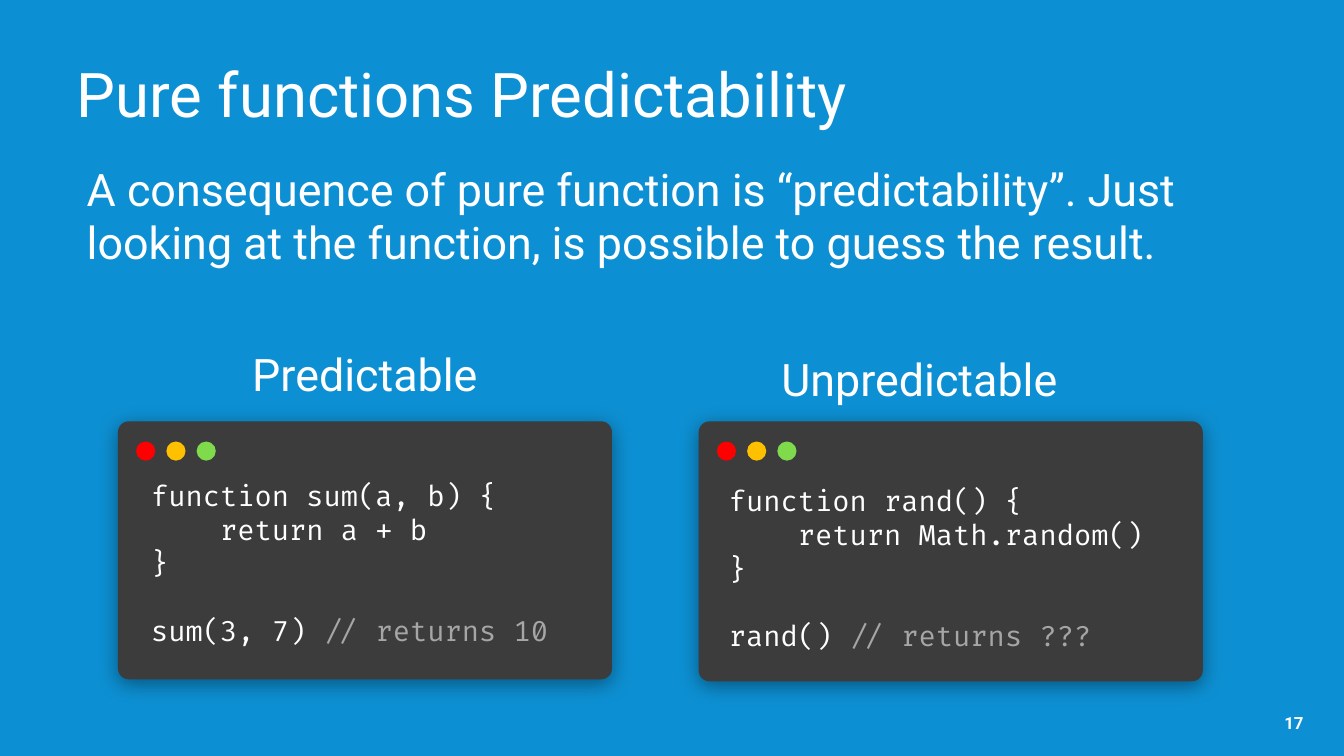
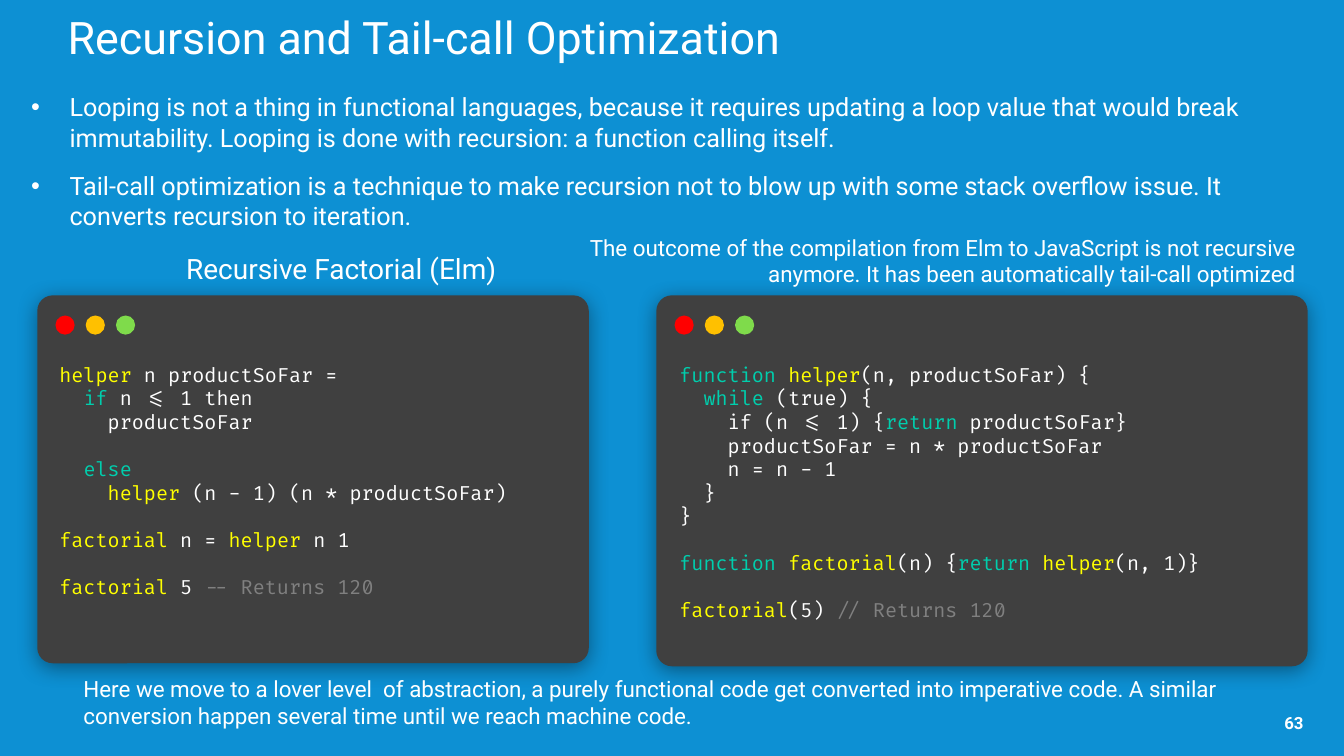
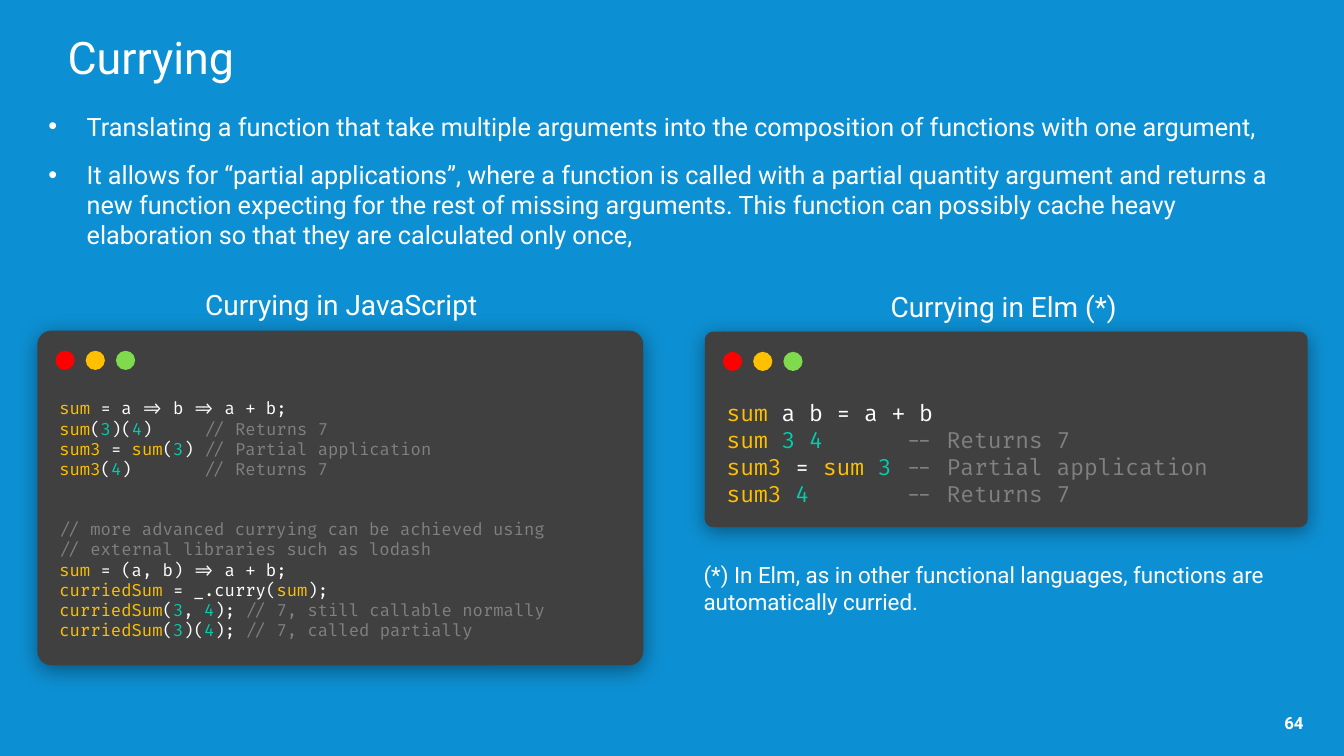
"""Builds three slides on functional programming with code windows."""
import itertools

import pptx
import pptx.dml.color
import pptx.enum.shapes
import pptx.enum.text
import pptx.oxml
import pptx.oxml.ns
import pptx.util

RGB = pptx.dml.color.RGBColor
BLUE = RGB(0x0D, 0x90, 0xD3)
WHITE = RGB(0xFF, 0xFF, 0xFF)
CHARCOAL = RGB(0x3C, 0x3C, 0x3C)
DARK = RGB(0x40, 0x40, 0x40)
SILVER = RGB(0xA6, 0xA6, 0xA6)
GREY = RGB(0x80, 0x80, 0x80)
RED = RGB(0xFF, 0x00, 0x00)
AMBER = RGB(0xFF, 0xC0, 0x00)
GREEN = RGB(0x7F, 0xDB, 0x4B)
YELLOW = RGB(0xFF, 0xFF, 0x00)
TEAL = RGB(0x00, 0xCE, 0xAD)

SCALE = 9144
CODE_LEADING = 1.2
NAMESPACE = pptx.oxml.ns.nsdecls("a")
SHADOW = (
    f'<a:outerShdw {NAMESPACE} blurRad="190500" dist="38100" dir="5400000" algn="t" rotWithShape="0">'
    '<a:srgbClr val="000000"><a:alpha val="40000"/></a:srgbClr></a:outerShdw>'
)
LEFT, CENTER, RIGHT = (
    pptx.enum.text.PP_ALIGN.LEFT,
    pptx.enum.text.PP_ALIGN.CENTER,
    pptx.enum.text.PP_ALIGN.RIGHT,
)
TOP, MIDDLE = pptx.enum.text.MSO_ANCHOR.TOP, pptx.enum.text.MSO_ANCHOR.MIDDLE
SHAPE = pptx.enum.shapes.MSO_SHAPE

FACTORIAL_COLOURS = {"helper": YELLOW, "factorial": YELLOW}
ELM_COLOURS = FACTORIAL_COLOURS | {"if": TEAL, "else": TEAL}
JS_COLOURS = FACTORIAL_COLOURS | {"function": TEAL, "while": TEAL, "return": TEAL}
CURRY_COLOURS = {"sum": AMBER, "sum3": AMBER, "curriedSum": AMBER, "3": TEAL, "4": TEAL}

SUM_CODE = """function sum(a, b) {
    return a + b
}

sum(3, 7) // returns 10"""

RAND_CODE = """function rand() {
    return Math.random()
}

rand() // returns ???"""

FACTORIAL_ELM = """helper n productSoFar =
  if n <= 1 then
    productSoFar

  else
    helper (n - 1) (n * productSoFar)

factorial n = helper n 1

factorial 5 -- Returns 120"""

FACTORIAL_JS = """function helper(n, productSoFar) {
  while (true) {
    if (n <= 1) {return productSoFar}
    productSoFar = n * productSoFar
    n = n - 1
  }
}

function factorial(n) {return helper(n, 1)}

factorial(5) // Returns 120"""

CURRY_JS = """sum = a => b => a + b;
sum(3)(4)     // Returns 7
sum3 = sum(3) // Partial application
sum3(4)       // Returns 7


// more advanced currying can be achieved using
// external libraries such as lodash
sum = (a, b) => a + b;
curriedSum = _.curry(sum);
curriedSum(3, 4); // 7, still callable normally
curriedSum(3)(4); // 7, called partially"""

CURRY_ELM = """sum a b = a + b
sum 3 4      -- Returns 7
sum3 = sum 3 -- Partial application
sum3 4       -- Returns 7"""

PAGES = [
    {
        "number": "17",
        "title": "Pure functions Predictability",
        "title_area": (76, 64, 1181, 129),
        "title_format": {"size": 44, "inset": (0, 0), "spacing": 0.9},
        "body": "A consequence of pure function is “predictability”. "
                "Just looking at the function, is possible to guess the result.",
        "body_area": (76, 155, 1194, 118),
        "body_format": {"size": 32},
        "captions": [
            ("Predictable", (117, 339, 490, 64), 32, CENTER),
            ("Unpredictable", (667, 344, 490, 64), 32, CENTER),
        ],
        "fill": CHARCOAL,
        "comment": SILVER,
        "windows": [
            (SUM_CODE, (117, 418, 490, 256), (140, 470, 450, 178), 20, {}),
            (RAND_CODE, (693, 418, 500, 258), (713, 475, 450, 178), 20, {}),
        ],
    },
    {
        "number": "63",
        "title": "Recursion and Tail-call Optimization",
        "title_area": (37, 0, 1145, 72),
        "title_format": {"size": 32, "inset": (30, 30), "anchor": MIDDLE},
        "body": "Looping is not a thing in functional languages, because it requires updating a loop "
                "value that would break immutability. Looping is done with recursion: a function "
                "calling itself.\n"
                "Tail-call optimization is a technique to make recursion not to blow up with some "
                "stack overflow issue. It converts recursion to iteration.",
        "body_area": (21, 86, 1260, 129),
        "body_format": {"size": 18, "bullet": True, "before": 5, "after": 8},
        "captions": [
            ("Recursive Factorial (Elm)", (38, 245, 601, 37), 20, CENTER),
            ("The outcome of the compilation from Elm to JavaScript is not recursive anymore. "
             "It has been automatically tail-call optimized", (559, 227, 736, 37), 16, RIGHT),
            ("Here we move to a lover level  of abstraction, a purely functional code get converted "
             "into imperative code. A similar conversion happen several time until we reach "
             "machine code.", (73, 665, 1223, 71), 16, LEFT),
        ],
        "fill": DARK,
        "comment": GREY,
        "windows": [
            (FACTORIAL_ELM, (37, 293, 547, 365), (49, 355, 534, 246), 14, ELM_COLOURS),
            (FACTORIAL_JS, (651, 293, 646, 368), (664, 355, 613, 269), 14, JS_COLOURS),
        ],
    },
    {
        "number": "64",
        "title": "Currying",
        "title_area": (37, 0, 1145, 113),
        "title_format": {"size": 32, "inset": (30, 30), "anchor": MIDDLE},
        "body": "Translating a function that take multiple arguments into the composition of "
                "functions with one argument,\n"
                "It allows for “partial applications”, where a function is called with a partial "
                "quantity argument and returns a new function expecting for the rest of missing "
                "arguments. This function can possibly cache heavy elaboration so that they are "
                "calculated only once,",
        "body_area": (38, 105, 1260, 231),
        "body_format": {"size": 18, "bullet": True, "before": 5, "after": 8},
        "captions": [
            ("Currying in JavaScript", (38, 280, 601, 37), 20, CENTER),
            ("Currying in Elm (*)", (695, 282, 601, 37), 20, CENTER),
            ("(*) In Elm, as in other functional languages, functions are automatically curried.",
             (688, 552, 601, 82), 16, LEFT),
        ],
        "fill": DARK,
        "comment": GREY,
        "windows": [
            (CURRY_JS, (37, 328, 601, 332), (49, 390, 588, 252), 12, CURRY_COLOURS),
            (CURRY_ELM, (699, 329, 598, 194), (711, 391, 573, 118), 16, CURRY_COLOURS),
        ],
    },
]


def px(*lengths):
    return [pptx.util.Emu(length * SCALE) for length in lengths]


def write(box, text, size=18, font="Roboto", bold=False, align=LEFT, anchor=TOP, inset=(10, 5),
          spacing=1.0, before=0, after=0, bullet=False, colours={}, comment=WHITE):
    frame = box.text_frame
    frame.word_wrap = True
    frame.auto_size = pptx.enum.text.MSO_AUTO_SIZE.NONE
    frame.vertical_anchor = anchor
    frame.margin_left = frame.margin_right = px(inset[0])[0]
    frame.margin_top = frame.margin_bottom = px(inset[1])[0]
    para = None
    blank_lines = 0
    for line in text.split("\n"):
        if not line:
            blank_lines += 1
            continue
        first = para is None
        para = frame.paragraphs[0] if first else frame.add_paragraph()
        properties = para._p.get_or_add_pPr()
        hang = 38 * SCALE if bullet else 0
        properties.set("marL", str(hang))
        properties.set("indent", str(-hang))
        marks = ['buFont {} typeface="Arial"', 'buChar {} char="•"'] if bullet else ["buNone {}"]
        for mark in marks:
            properties.append(pptx.oxml.parse_xml(f"<a:{mark.format(NAMESPACE)}/>"))
        para.alignment = align
        para.line_spacing = spacing
        gap = before + blank_lines * CODE_LEADING * size
        para.space_before = pptx.util.Pt(0 if first else gap)
        para.space_after = pptx.util.Pt(after)
        blank_lines = 0

        start = min((line.find(mark) for mark in ("//", "--") if mark in line), default=len(line))
        words = ["".join(group) for _, group in itertools.groupby(line[:start], str.isalnum)]
        pieces = [(word, colours.get(word, WHITE)) for word in words]
        if line[start:]:
            pieces.append((line[start:], comment))
        for colour, group in itertools.groupby(pieces, lambda piece: piece[1]):
            span = para.add_run()
            span.text = "".join(word for word, _ in group)
            span.font.name = font
            span.font.size = pptx.util.Pt(size)
            span.font.bold = bold
            span.font.color.rgb = colour


deck = pptx.Presentation()
deck.slide_width, deck.slide_height = px(1333, 750)
backdrop = deck.slide_master.background.fill
backdrop.solid()
backdrop.fore_color.rgb = BLUE

for content in PAGES:
    page = deck.slides.add_slide(deck.slide_layouts[1])
    for box, part in zip(page.placeholders, ("title", "body")):
        box.left, box.top, box.width, box.height = px(*content[part + "_area"])
        write(box, content[part], **content[part + "_format"])

    for code, (left, top, width, height), code_area, size, colours in content["windows"]:
        window = page.shapes.add_group_shape()
        panel = window.shapes.add_shape(SHAPE.ROUNDED_RECTANGLE, *px(left, top, width, height))
        panel.adjustments[0] = 0.042
        panel.shadow.inherit = False
        effects = panel._element.spPr.find(pptx.oxml.ns.qn("a:effectLst"))
        effects.append(pptx.oxml.parse_xml(SHADOW))
        parts = [(panel, content["fill"])]
        for index, colour in enumerate((RED, AMBER, GREEN)):
            dot = window.shapes.add_shape(SHAPE.OVAL, *px(left + 18 + 30 * index, top + 20, 19, 19))
            dot.shadow.inherit = False
            parts.append((dot, colour))
        for shape, colour in parts:
            shape.fill.solid()
            shape.fill.fore_color.rgb = colour
            shape.line.fill.background()
        write(window.shapes.add_textbox(*px(*code_area)), code, size=size, font="Fira Code",
              colours=colours, comment=content["comment"])

    for caption, area, size, align in content["captions"]:
        write(page.shapes.add_textbox(*px(*area)), caption, size=size, align=align)

    write(page.shapes.add_textbox(*px(1214, 702, 84, 31)), content["number"], size=12, bold=True,
          align=RIGHT, anchor=MIDDLE, inset=(5, 5))

deck.save("out.pptx")
